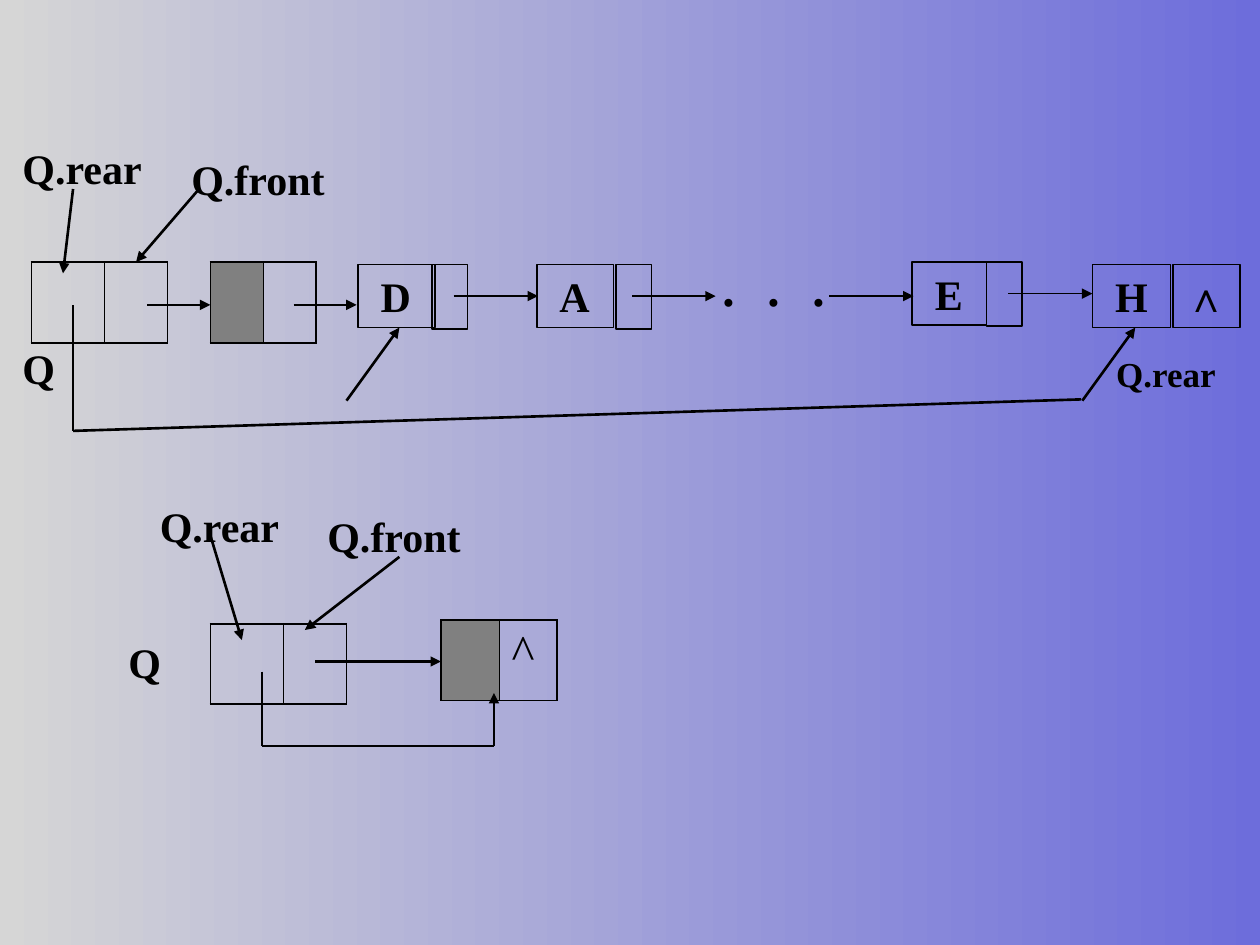
"""Build a slide showing a linked queue with nodes and an empty linked queue."""
from lxml import etree
from pptx import Presentation
from pptx.dml.color import RGBColor
from pptx.enum.shapes import MSO_CONNECTOR, MSO_SHAPE
from pptx.enum.text import MSO_ANCHOR, PP_ALIGN
from pptx.oxml.ns import qn
from pptx.util import Inches, Pt

RECTANGLE = MSO_SHAPE.RECTANGLE
STRAIGHT = MSO_CONNECTOR.STRAIGHT
TOP, LEFT = MSO_ANCHOR.TOP, PP_ALIGN.LEFT
BLACK, GRAY = "000000", "808080"
color = RGBColor.from_string


def write(frame, text, size, bold=True):
    para = frame.paragraphs[0]
    para.alignment = LEFT
    span = para.add_run()
    span.text = text
    formats = {"name": "Times New Roman", "size": Pt(size), "bold": bold}
    for name, value in formats.items():
        setattr(span.font, name, value)
    span.font.color.rgb = color(BLACK)
    return span


deck = Presentation()
deck.slide_width, deck.slide_height = Inches(10), Inches(7.5)
page = deck.slides.add_slide(deck.slide_layouts[6])

backdrop = page.background.fill
backdrop.gradient()
backdrop.gradient_angle = 0
for stop, position, shade in zip(backdrop.gradient_stops, (0, 1), ("D6D6D6", "6D6DDB")):
    stop.position = position
    stop.color.rgb = color(shade)

node_cells = [
    (2.84, 2.1, 0.61, 0.5, "D", 0.18), (3.43, 2.1, 0.28, 0.51, "", 0),
    (4.26, 2.1, 0.61, 0.5, "A", 0.18), (4.89, 2.1, 0.28, 0.51, "", 0),
    (7.24, 2.08, 0.59, 0.5, "E", 0.18), (7.83, 2.08, 0.28, 0.51, "", 0),
    (8.67, 2.1, 0.62, 0.5, "H", 0.18), (9.31, 2.1, 0.53, 0.5, "∧", 0.1),
]
for left, top, width, height, text, inset in node_cells:
    box = page.shapes.add_shape(
        RECTANGLE, Inches(left), Inches(top), Inches(width), Inches(height))
    box.shadow.inherit = False
    box.fill.background()
    box.line.color.rgb = color(BLACK)
    box.line.width = Pt(1)
    if text:
        frame = box.text_frame
        frame.vertical_anchor = TOP
        frame.margin_left, frame.margin_right = Inches(inset), 0
        write(frame, text, 24)

tables = [
    (1.67, 2.08, (0.42, 0.42), True, ""),
    (0.25, 2.08, (0.58, 0.5), False, ""),
    (1.67, 4.95, (0.58, 0.5), False, ""),
    (3.5, 4.92, (0.46, 0.46), True, "^"),
]
for left, top, widths, is_head, text in tables:
    table = page.shapes.add_table(
        1, 2, Inches(left), Inches(top), Inches(sum(widths)), Inches(0.64)).table
    table.first_row = table.horz_banding = False
    for index, width in enumerate(widths):
        table.columns[index].width = Inches(width)
        cell = table.cell(0, index)
        properties = cell._tc.get_or_add_tcPr()
        for side in ("lnL", "lnR", "lnT", "lnB"):
            inner = side == ("lnR", "lnL")[index]
            border = etree.SubElement(
                properties, qn(f"a:{side}"), w=str(Pt(0.45 if inner else 1.08)))
            paint = etree.SubElement(border, qn("a:solidFill"))
            etree.SubElement(paint, qn("a:srgbClr"), val=BLACK)
        if is_head and index == 0:
            cell.fill.solid()
            cell.fill.fore_color.rgb = color(GRAY)
        else:
            cell.fill.background()
    if text:
        write(table.cell(0, 1).text_frame, text, 28, False)

lines = [
    (3.6, 2.35, 4.27, 2.35, 1, True),
    (5.02, 2.35, 5.68, 2.35, 1, True),
    (6.58, 2.35, 7.25, 2.35, 1, True),
    (8, 2.33, 8.67, 2.33, 1, True),
    (2.75, 3.18, 3.17, 2.6, 1.5, True),
    (8.59, 3.18, 9.01, 2.6, 1.5, True),
    (2.33, 2.42, 2.83, 2.42, 1.5, True),
    (1.17, 2.42, 1.67, 2.42, 1.5, True),
    (8.58, 3.17, 0.58, 3.42, 1.5, False),
    (0.58, 3.42, 0.58, 2.42, 1.5, False),
    (1.58, 1.5, 1.08, 2.08, 1.5, True),
    (0.58, 1.5, 0.5, 2.17, 1.5, True),
    (2.5, 5.25, 3.5, 5.25, 1.5, True),
    (2.08, 5.33, 2.08, 5.92, 1.5, False),
    (2.08, 5.92, 3.92, 5.92, 1.5, False),
    (3.92, 5.92, 3.92, 5.5, 1.5, True),
    (1.67, 4.25, 1.92, 5.08, 1.5, True),
    (3.17, 4.42, 2.42, 5, 1.5, True),
]
for x1, y1, x2, y2, weight, has_arrow in lines:
    link = page.shapes.add_connector(
        STRAIGHT, Inches(x1), Inches(y1), Inches(x2), Inches(y2))
    link.line.color.rgb = color(BLACK)
    link.line.width = Pt(weight)
    properties = link._element.spPr
    if has_arrow:
        etree.SubElement(properties.find(qn("a:ln")), qn("a:tailEnd"), type="triangle")
    etree.SubElement(properties, qn("a:effectLst"))

labels = [
    (0.08, 1.08, 1.33, 0.5, "Q.rear", 24, 0),
    (1.42, 1.17, 1.67, 0.5, "Q.front", 24, 0),
    (0.08, 2.67, 0.52, 0.5, "Q", 24, 0),
    (8.76, 2.75, 0.99, 0.44, "Q.rear", 20, 0),
    (5.62, 2.1, 1.07, 0.57, "· · ·", 28, 4.7),
    (1.17, 3.92, 1.15, 0.5, "Q.rear", 24, 0),
    (2.5, 4, 1.67, 0.5, "Q.front", 24, 0),
    (0.92, 5, 0.58, 0.5, "Q", 24, 0),
]
for left, top, width, height, text, size, spacing in labels:
    box = page.shapes.add_textbox(
        Inches(left), Inches(top), Inches(width), Inches(height))
    box.text_frame.word_wrap = True
    span = write(box.text_frame, text, size)
    if spacing:
        span.font._element.set("spc", str(round(spacing * 100)))

deck.save("out.pptx")
